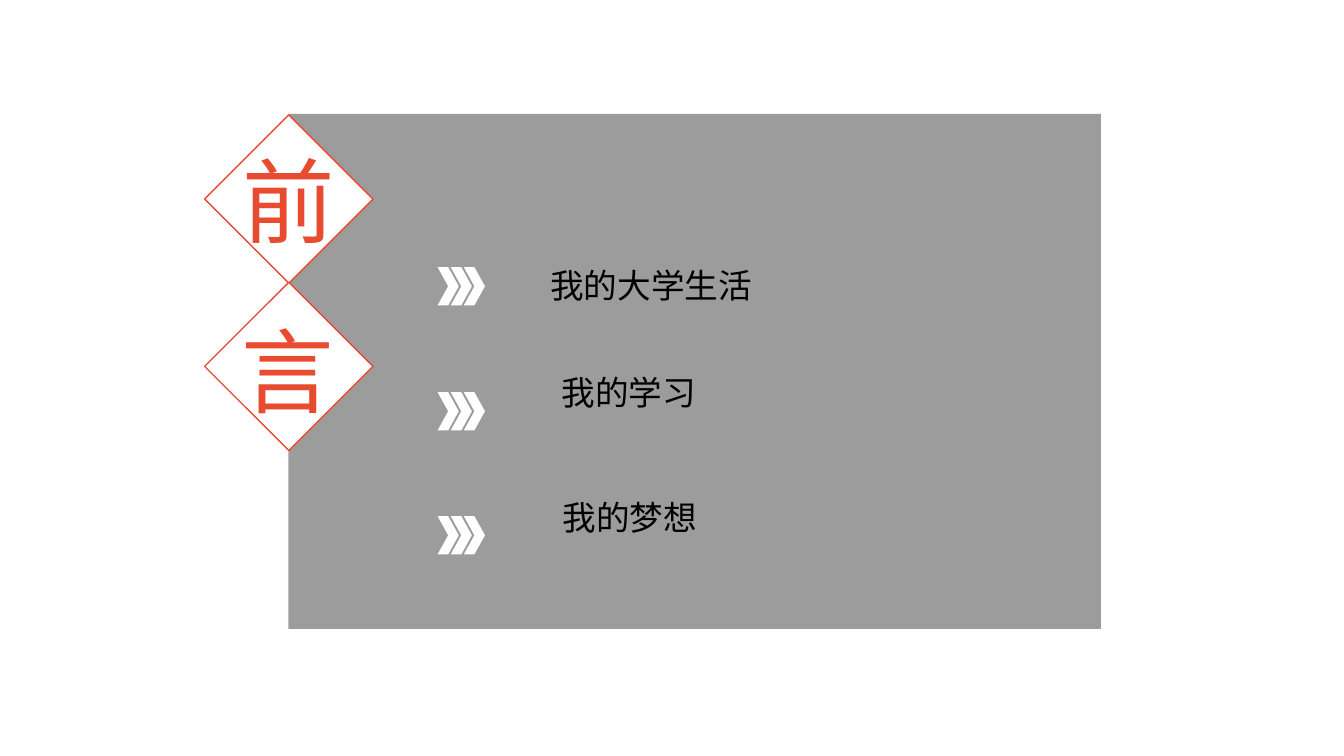
from lxml import etree
from pptx import Presentation
from pptx.dml.color import RGBColor
from pptx.enum.shapes import MSO_SHAPE
from pptx.enum.text import MSO_ANCHOR, MSO_AUTO_SIZE, PP_ALIGN
from pptx.oxml.ns import qn
from pptx.util import Pt

RECTANGLE, DIAMOND, CHEVRON = MSO_SHAPE.RECTANGLE, MSO_SHAPE.DIAMOND, MSO_SHAPE.CHEVRON
MIDDLE, TOP = MSO_ANCHOR.MIDDLE, MSO_ANCHOR.TOP
GROW, FIXED = MSO_AUTO_SIZE.SHAPE_TO_FIT_TEXT, MSO_AUTO_SIZE.NONE
CENTER, LEFT = PP_ALIGN.CENTER, PP_ALIGN.LEFT

PX = 9144
SLIDE_SIZE = (1333, 750)
BLACK, WHITE, ORANGE = "000000", "FFFFFF", "E84B30"
CJK_FONT, BODY_FONT = "Noto Sans CJK SC", "Calibri"

PANEL = (286, 113, 806, 511)
PANEL_OPACITY = 39
DIAMOND_LEFT, DIAMOND_TOP, DIAMOND_SIZE = 203, 114, 167
DIAMOND_STEP = 166
HEADING = [("前", (203, 120)), ("言", (202, 288))]
HEADING_SIZE = (166, 157)

ARROW_LEFT, ARROW_STEP, ARROW_COUNT = 434, 13, 3
ARROW_SIZE = (21, 38)
TOPICS = [
    ("我的大学生活", (536, 258, 449, 50), 265),
    ("我的学习", (547, 364, 341, 50), 389),
    ("我的梦想", (548, 488, 438, 50), 512),
]


def color(value):
    return RGBColor.from_string(value)


def scaled(box):
    return [length * PX for length in box]


def add_filled(shapes, preset, box, fill, line=None):
    shape = shapes.add_shape(preset, *scaled(box))
    shape.shadow.inherit = False
    shape.fill.solid()
    shape.fill.fore_color.rgb = color(fill)
    if line:
        shape.line.color.rgb = color(line)
        shape.line.width = Pt(1)
    else:
        shape.line.fill.background()
    return shape


def add_label(shapes, text, box, size, font, ink, alignment, anchor, auto_size):
    frame = shapes.add_textbox(*scaled(box)).text_frame
    frame.word_wrap = True
    frame.auto_size = auto_size
    frame.vertical_anchor = anchor
    frame.text = text
    paragraph = frame.paragraphs[0]
    paragraph.alignment = alignment
    run = paragraph.runs[0]
    run.font.size = Pt(size)
    run.font.color.rgb = color(ink)
    run.font.name = font
    etree.SubElement(run.font._element, qn("a:ea"), typeface=CJK_FONT)


def add_panel(shapes):
    panel = add_filled(shapes, RECTANGLE, PANEL, BLACK)
    fill_color = panel._element.spPr.find(qn("a:solidFill"))[0]
    etree.SubElement(fill_color, qn("a:alpha"), val=str(PANEL_OPACITY * 1000))


def add_heading(shapes):
    for index, (character, position) in enumerate(HEADING):
        top = DIAMOND_TOP + index * DIAMOND_STEP
        box = (DIAMOND_LEFT, top, DIAMOND_SIZE, DIAMOND_SIZE)
        add_filled(shapes, DIAMOND, box, WHITE, ORANGE)
        add_label(shapes, character, position + HEADING_SIZE, 66, CJK_FONT,
                  ORANGE, CENTER, MIDDLE, FIXED)


def add_topics(shapes):
    for text, box, arrow_top in TOPICS:
        group = shapes.add_group_shape()
        for index in reversed(range(ARROW_COUNT)):
            left = ARROW_LEFT + index * ARROW_STEP
            add_filled(group.shapes, CHEVRON, (left, arrow_top) + ARROW_SIZE, WHITE)
    for text, box, arrow_top in TOPICS:
        add_label(shapes, text, box, 24, BODY_FONT, BLACK, LEFT, TOP, GROW)


def main():
    presentation = Presentation()
    presentation.slide_width, presentation.slide_height = scaled(SLIDE_SIZE)
    slide = presentation.slides.add_slide(presentation.slide_layouts[6])
    add_panel(slide.shapes)
    add_heading(slide.shapes)
    add_topics(slide.shapes)
    presentation.save("out.pptx")


if __name__ == "__main__":
    main()
